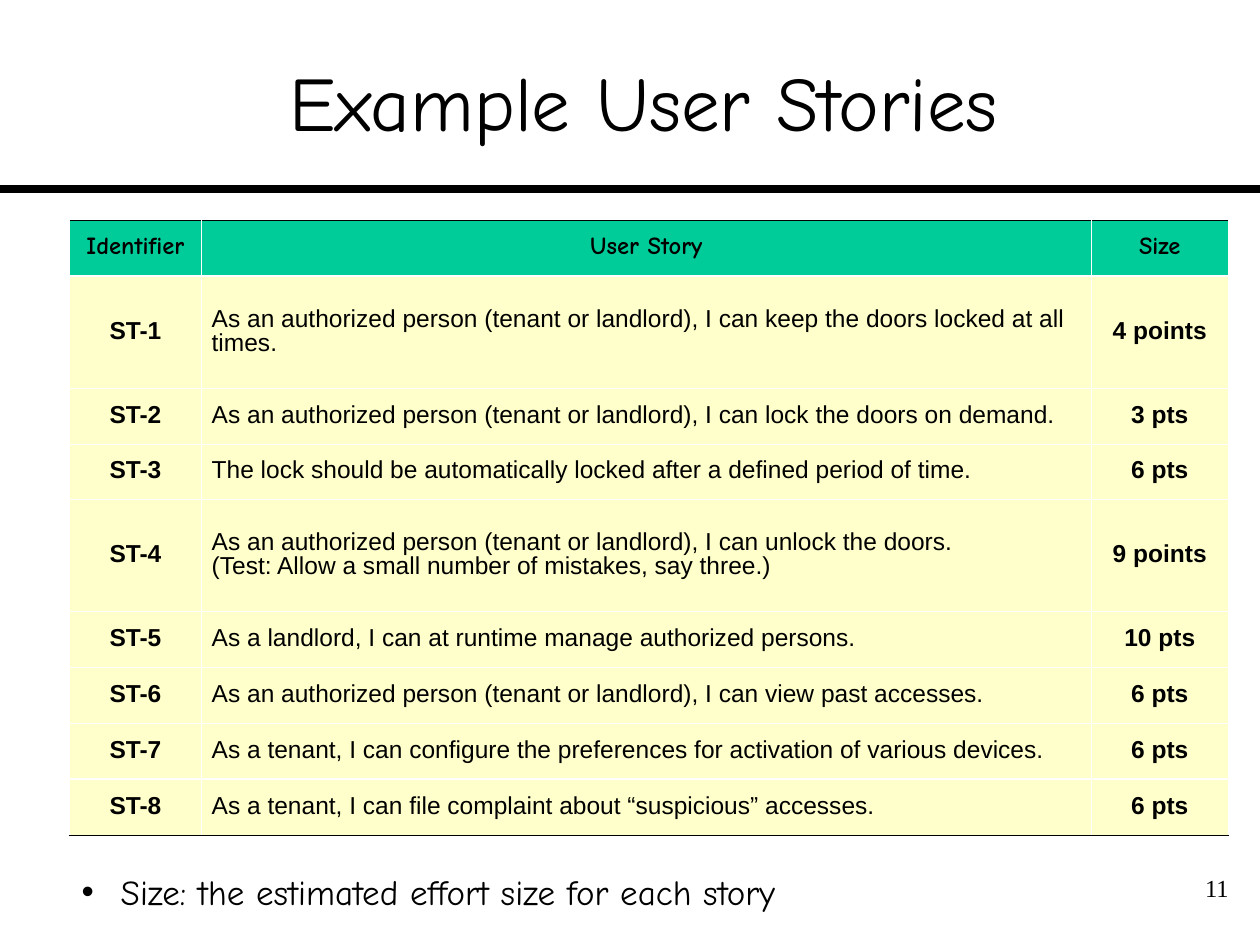
from dataclasses import dataclass

from lxml import etree
from pptx import Presentation
from pptx import util as u
from pptx.dml.color import RGBColor
from pptx.enum import shapes, text
from pptx.oxml import ns

COLORS = {"ink": "000000", "rule": "FFFFFF", "header": "00CC99", "body": "FFFFCC"}
COMIC, SANS, SERIF = "Comic Neue", "Arial", "Times New Roman"
COLUMN_WIDTHS = (1.05, 7.06, 1.09)
THIN, THICK = 0.45, 1.47
TABLE_HEIGHT = 4.88


@dataclass(frozen=True)
class Story:
    identifier: str
    description: str
    size: str
    height_units: int = 1


HEADER = Story("Identifier", "User Story", "Size")
STORIES = [
    Story("ST-1", "As an authorized person (tenant or landlord), I can keep the doors locked at all times.", "4 points", 2),
    Story("ST-2", "As an authorized person (tenant or landlord), I can lock the doors on demand.", "3 pts"),
    Story("ST-3", "The lock should be automatically locked after a defined period of time.", "6 pts"),
    Story("ST-4", "As an authorized person (tenant or landlord), I can unlock the doors.\n(Test: Allow a small number of mistakes, say three.)", "9 points", 2),
    Story("ST-5", "As a landlord, I can at runtime manage authorized persons.", "10 pts"),
    Story("ST-6", "As an authorized person (tenant or landlord), I can view past accesses.", "6 pts"),
    Story("ST-7", "As a tenant, I can configure the preferences for activation of various devices.", "6 pts"),
    Story("ST-8", "As a tenant, I can file complaint about “suspicious” accesses.", "6 pts"),
]


def color(name: str) -> RGBColor:
    return RGBColor.from_string(COLORS[name])


def write(paragraph, content: str, *, font: str, size: float, bold: bool = False,
          align=text.PP_ALIGN.LEFT, before: float = 0, after: float = 0, leading=None) -> None:
    paragraph.text = content
    paragraph.alignment = align
    paragraph.space_before, paragraph.space_after = u.Pt(before), u.Pt(after)
    if leading:
        paragraph.line_spacing = u.Pt(leading)
    for run in paragraph.runs:
        run.font.name, run.font.size, run.font.bold = font, u.Pt(size), bold
        run.font.color.rgb = color("ink")


def add_text(slide, box: tuple, content: str, *, inset: float = 0.1,
             anchor=text.MSO_ANCHOR.TOP, **style):
    frame = slide.shapes.add_textbox(*map(u.Inches, box)).text_frame
    frame.word_wrap = True
    frame.vertical_anchor = anchor
    frame.margin_left = frame.margin_right = u.Inches(inset)
    write(frame.paragraphs[0], content, **style)
    return frame.paragraphs[0]


def add_bullet(paragraph, indent: float) -> None:
    properties = paragraph._p.get_or_add_pPr()
    properties.set("marL", str(u.Inches(indent)))
    properties.set("indent", str(u.Inches(-indent)))
    bullet_color = etree.SubElement(properties, ns.qn("a:buClr"))
    etree.SubElement(bullet_color, ns.qn("a:srgbClr"), val=COLORS["ink"])
    etree.SubElement(properties, ns.qn("a:buFont"), typeface=SANS)
    etree.SubElement(properties, ns.qn("a:buChar"), char="•")


def set_border(cell, side: str, name: str, width: float) -> None:
    line = etree.SubElement(cell._tc.get_or_add_tcPr(), ns.qn(f"a:ln{side}"), w=str(u.Pt(width)))
    fill = etree.SubElement(line, ns.qn("a:solidFill"))
    etree.SubElement(fill, ns.qn("a:srgbClr"), val=COLORS[name])


def add_story_table(slide) -> None:
    rows = [HEADER, *STORIES]
    last = len(rows) - 1
    row_unit = TABLE_HEIGHT / sum(story.height_units for story in rows)
    table = slide.shapes.add_table(len(rows), len(COLUMN_WIDTHS), u.Inches(0.55), u.Inches(1.75),
                                   u.Inches(sum(COLUMN_WIDTHS)), u.Inches(TABLE_HEIGHT)).table
    table.first_row = table.horz_banding = False
    for column, width in zip(table.columns, COLUMN_WIDTHS):
        column.width = u.Inches(width)
    edges = [("ink", THIN), ("rule", THICK), *[("rule", THIN)] * (last - 2), ("rule", THICK), ("ink", THIN)]

    for row_index, story in enumerate(rows):
        is_header = row_index == 0
        table.rows[row_index].height = u.Inches(story.height_units * row_unit)
        for column_index, content in enumerate((story.identifier, story.description, story.size)):
            cell = table.cell(row_index, column_index)
            is_description = column_index == 1 and not is_header
            inset = 0.02 if is_header and column_index == 0 else 0.08
            cell.margin_left = cell.margin_right = u.Inches(inset)
            cell.vertical_anchor = text.MSO_ANCHOR.MIDDLE
            for side in "LR":
                set_border(cell, side, "rule", THIN)
            set_border(cell, "T", *edges[row_index])
            set_border(cell, "B", *edges[row_index + 1])
            cell.fill.solid()
            cell.fill.fore_color.rgb = color("header" if is_header else "body")
            write(cell.text_frame.paragraphs[0], content, font=COMIC if is_header else SANS,
                  size=14, bold=not is_description, before=2, after=2, leading=14,
                  align=text.PP_ALIGN.LEFT if is_description else text.PP_ALIGN.CENTER)


def add_title_rule(slide) -> None:
    line = slide.shapes.add_connector(shapes.MSO_CONNECTOR.STRAIGHT, u.Inches(0), u.Inches(1.5),
                                      u.Inches(10), u.Inches(1.5))
    line.line.color.rgb = color("ink")
    line.line.width = u.Pt(4.5)
    etree.SubElement(line._element.spPr, ns.qn("a:effectLst"))


def main() -> None:
    presentation = Presentation()
    presentation.slide_width, presentation.slide_height = u.Inches(10), u.Inches(7.5)
    slide = presentation.slides.add_slide(presentation.slide_layouts[6])
    add_title_rule(slide)
    add_text(slide, (9.26, 6.88, 0.59, 0.5), "11", font=SERIF, size=14, align=text.PP_ALIGN.RIGHT)
    add_text(slide, (0.42, 0.17, 9.38, 1.25), "Example User Stories", font=COMIC, size=44,
             inset=0, anchor=text.MSO_ANCHOR.MIDDLE, align=text.PP_ALIGN.CENTER)
    add_story_table(slide)
    note = add_text(slide, (0.55, 6.86, 9.2, 0.64), "Size: the estimated effort size for each story",
                    font=COMIC, size=20, before=12.5)
    add_bullet(note, 0.31)
    presentation.save("out.pptx")


if __name__ == "__main__":
    main()
